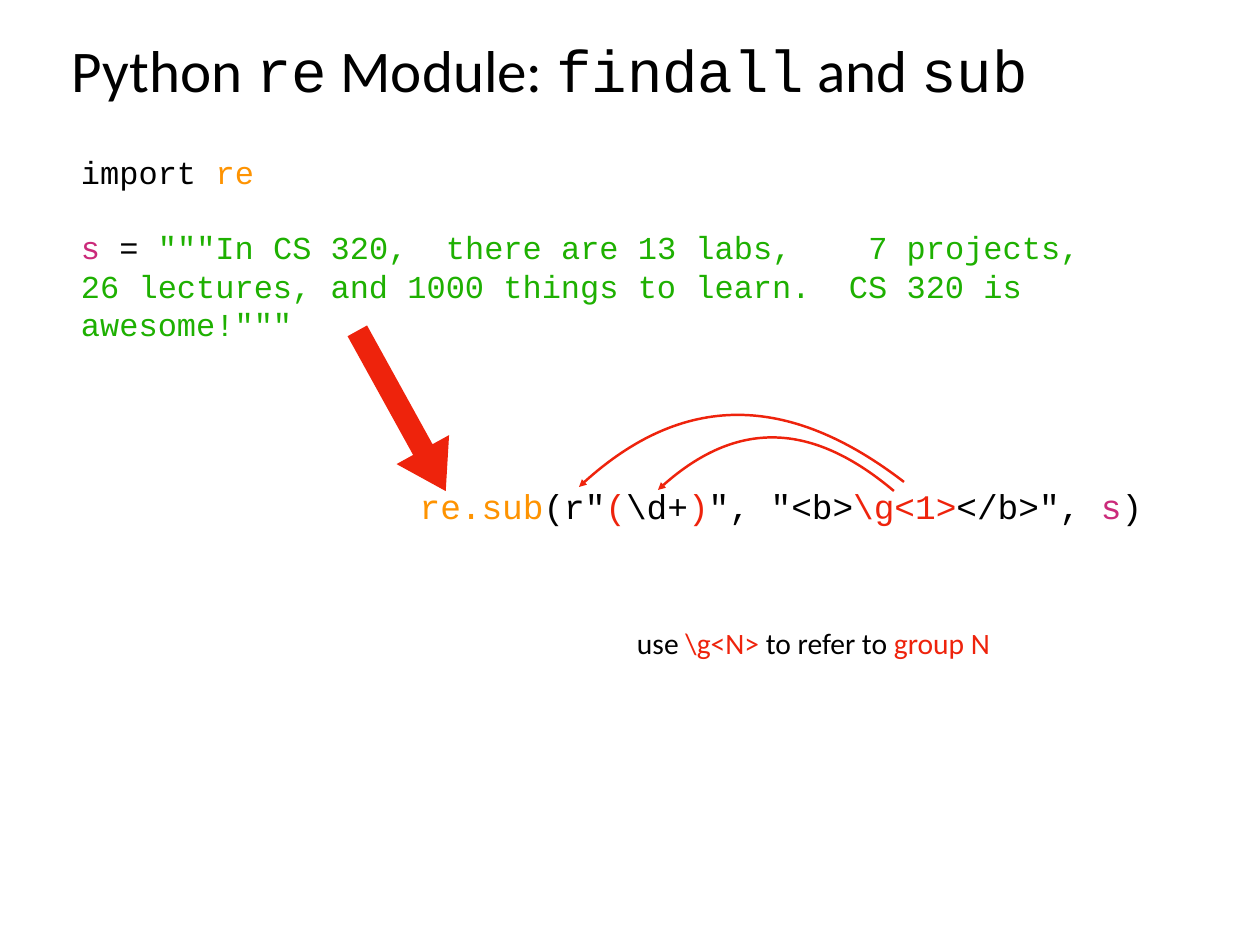
"""Build a slide on the findall and sub functions of the Python re module."""
from dataclasses import dataclass
from typing import Any

from lxml.etree import SubElement
from pptx import Presentation
from pptx.dml.color import RGBColor as Rgb
from pptx.enum.shapes import MSO_SHAPE as Kind
from pptx.enum.text import MSO_ANCHOR as Anchor, MSO_AUTO_SIZE as Fit, PP_ALIGN as Align
from pptx.oxml.ns import qn
from pptx.util import Pt

SCALE = 10321
INSET = 5
STEPS = 40
BLACK = Rgb(0x00, 0x00, 0x00)
RED = Rgb(0xEE, 0x23, 0x0C)
ORANGE = Rgb(0xFE, 0x93, 0x01)
PINK = Rgb(0xCB, 0x2A, 0x7A)
GREEN = Rgb(0x1E, 0xB0, 0x01)
SANS = "Calibri"
MONO = "Courier New"

Point = tuple[int, int]


@dataclass(frozen=True)
class Piece:
    text: str
    color: Rgb = BLACK
    font: str = MONO


@dataclass(frozen=True)
class Block:
    box: tuple[int, int, int, int]
    size: int
    lines: list[list[Piece]]
    align: Align = Align.LEFT
    anchor: Anchor = Anchor.MIDDLE
    wrap: bool = True
    fit: Fit = Fit.SHAPE_TO_FIT_TEXT


@dataclass(frozen=True)
class Curve:
    start: Point
    bend: Point
    turn: Point
    end: Point


TITLE = Block((67, 25, 1122, 88), 48, [[
    Piece("Python ", font=SANS), Piece("re"), Piece(" Module: ", font=SANS),
    Piece("findall"), Piece(" and ", font=SANS), Piece("sub"),
]], fit=Fit.NONE)

CALL = Block((412, 480, 738, 51), 28, [[
    Piece("re.sub", ORANGE), Piece('(r"'), Piece("(", RED), Piece(r"\d+"),
    Piece(")", RED), Piece('", "<b>'), Piece(r"\g<1>", RED),
    Piece('</b>", '), Piece("s", PINK), Piece(")"),
]], align=Align.CENTER, wrap=False)

NOTE = Block((625, 621, 377, 44), 24, [[
    Piece("use ", font=SANS), Piece(r"\g<N>", RED, SANS),
    Piece(" to refer to ", font=SANS), Piece("group N", RED, SANS),
]], align=Align.CENTER, wrap=False)

CODE = Block((76, 148, 1092, 204), 26, [
    [Piece("import "), Piece("re", ORANGE)],
    [Piece("s", PINK), Piece(" = "),
     Piece('"""In CS 320,  there are 13 labs,    7 projects,', GREEN)],
    [Piece('26 lectures, and 1000 things to learn.  CS 320 is awesome!"""', GREEN)],
], anchor=Anchor.TOP)
CODE_GAP = Pt(29.5)

CURVES = [
    Curve((579, 487), (679, 393), (787, 392), (904, 482)),
    Curve((658, 490), (733, 420), (811, 421), (894, 491)),
]


def px(*sizes: int) -> list[int]:
    """Turn px into EMU."""
    return [size * SCALE for size in sizes]


def style(item: Any, form: dict[str, Any]) -> None:
    """Set each format value on the item."""
    for name, value in form.items():
        setattr(item, name, value)


def write(shape: Any, block: Block) -> None:
    """Place the shape and fill it with the text of the block."""
    frame = shape.text_frame
    edge = INSET * SCALE
    style(frame, {
        "margin_left": edge, "margin_right": edge,
        "margin_top": edge, "margin_bottom": edge,
        "word_wrap": block.wrap, "auto_size": block.fit,
        "vertical_anchor": block.anchor,
    })
    style(shape, dict(zip(("left", "top", "width", "height"), px(*block.box))))
    for i, line in enumerate(block.lines):
        para = frame.add_paragraph() if i else frame.paragraphs[0]
        para.alignment = block.align
        for piece in line:
            run = para.add_run()
            run.text = piece.text
            style(run.font, {"name": piece.font, "size": Pt(block.size)})
            run.font.color.rgb = piece.color


def add_text(slide: Any, block: Block) -> Any:
    """Add a text box for the block."""
    box = slide.shapes.add_textbox(*px(*block.box))
    write(box, block)
    return box


def add_arrow(slide: Any) -> None:
    """Add the thick arrow from the string to the call."""
    arrow = slide.shapes.add_shape(Kind.RIGHT_ARROW, *px(310, 381, 183, 60))
    arrow.rotation = 61.1
    arrow.adjustments[0] = 0.37
    arrow.adjustments[1] = 0.79
    arrow.shadow.inherit = False
    arrow.fill.solid()
    arrow.fill.fore_color.rgb = RED
    arrow.line.fill.background()


def spot(knots: list[list[int]], t: float) -> Point:
    """Find the point at t on a cubic curve."""
    u = 1 - t
    parts = (u ** 3, 3 * u * u * t, 3 * u * t * t, t ** 3)
    x, y = (round(sum(p * k[axis] for p, k in zip(parts, knots))) for axis in (0, 1))
    return x, y


def add_curve(slide: Any, curve: Curve) -> None:
    """Add a smooth line with an arrowhead at its start."""
    knots = [px(*knot) for knot in (curve.start, curve.bend, curve.turn, curve.end)]
    trace = [spot(knots, i / STEPS) for i in range(STEPS + 1)]
    pen = slide.shapes.build_freeform(*trace[0], scale=1.0)
    pen.add_line_segments(trace[1:], close=False)
    shape = pen.convert_to_shape()
    shape.shadow.inherit = False
    shape.fill.background()
    shape.line.color.rgb = RED
    shape.line.width = Pt(2)

    route = next(shape.element.iter(qn("a:path")))
    for step in route.findall(qn("a:lnTo")):
        route.remove(step)
    cubic = SubElement(route, qn("a:cubicBezTo"))
    for x, y in knots[1:]:
        SubElement(cubic, qn("a:pt"), x=str(x - shape.left), y=str(y - shape.top))
    line = shape.element.spPr.find(qn("a:ln"))
    SubElement(line, qn("a:headEnd"), type="triangle")


def main() -> None:
    """Draw the slide and save it."""
    deck = Presentation()
    style(deck, dict(zip(("slide_width", "slide_height"), px(1260, 945))))
    slide = deck.slides.add_slide(deck.slide_layouts[5])
    write(slide.shapes.title, TITLE)
    add_text(slide, CALL)
    add_arrow(slide)
    for curve in CURVES:
        add_curve(slide, curve)
    add_text(slide, NOTE)
    code = add_text(slide, CODE)
    code.text_frame.paragraphs[1].space_before = CODE_GAP
    deck.save("out.pptx")


if __name__ == "__main__":
    main()
